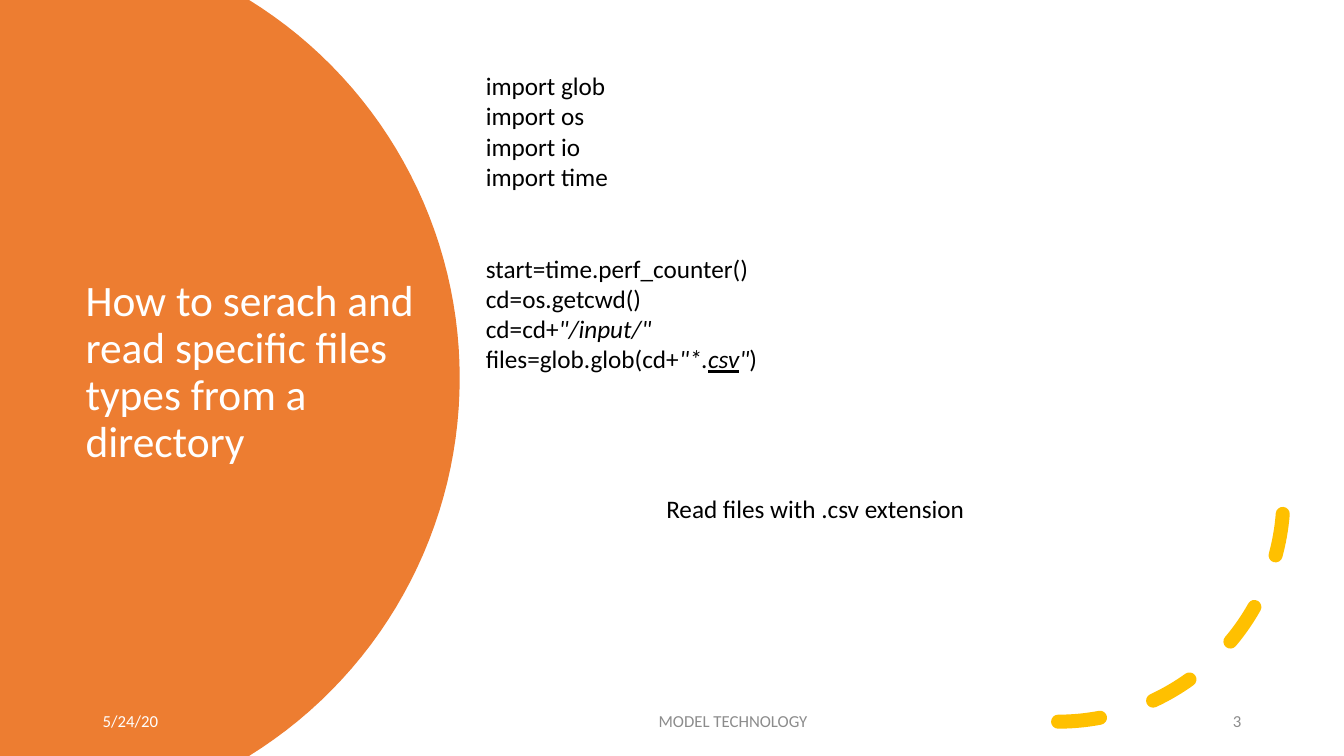
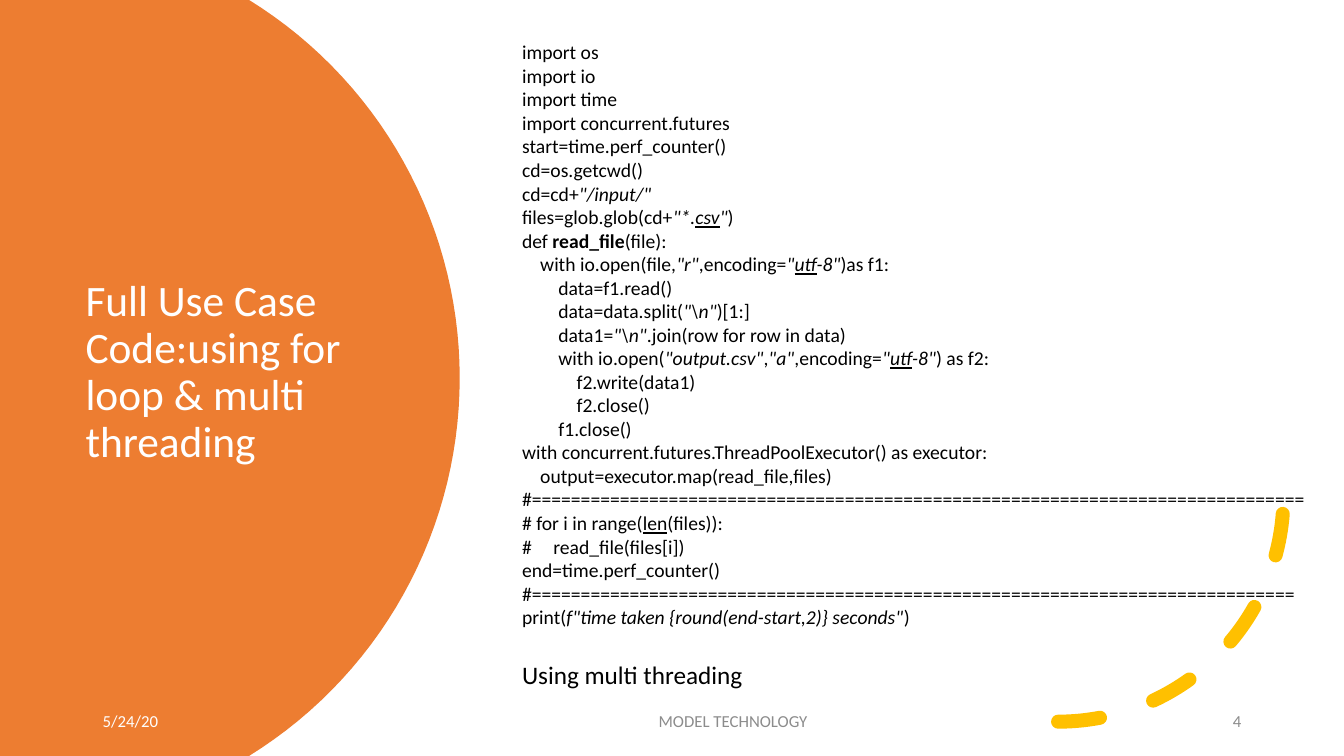
from dataclasses import dataclass
from math import asin, cos, sin

from lxml.etree import SubElement
from pptx import Presentation
from pptx.dml.color import RGBColor
from pptx.enum.dml import MSO_LINE
from pptx.enum.shapes import MSO_SHAPE
from pptx.enum.text import MSO_ANCHOR, PP_ALIGN
from pptx.oxml.ns import qn
from pptx.util import Inches, Pt


@dataclass(frozen=True)
class Theme:
    font: str = "Calibri"
    orange: str = "ED7D31"
    gold: str = "FFC000"
    white: str = "FFFFFF"
    black: str = "000000"
    grey: str = "8C8C8C"
    title: int = 31
    body: int = 18
    listing: int = 14
    footer: int = 12


THEME = Theme()
SLIDE_W, SLIDE_H = 13.33, 7.5
DISC_X, DISC_R, DISC_STEPS = 0.15, 4.41, 60
INDENT = 0.18
COMMENT_TAB = 0.31
LINE_HEIGHT = 1.22

DATE = "5/24/20"
BRAND = "MODEL TECHNOLOGY "

FIND_FILES = [
    "start=time.perf_counter()",
    "cd=os.getcwd()",
    ["cd=cd+", ('"/input/"', "i")],
    ["files=glob.glob(cd+", ('"*.', "i"), ("csv", "iu"), ('"', "i"), ")"],
]
ENCODING = [",encoding=", ('"', "i"), ("utf", "iu"), ('-8"', "i")]
NEWLINE = ('"\\n"', "i")

SEARCH_IMPORTS = ["import glob", "import os", "import io", "import time"]
FULL_CODE = [
    (0, "import os"),
    (0, "import io"),
    (0, "import time"),
    (0, "import concurrent.futures"),
    *[(0, line) for line in FIND_FILES],
    (0, ["def ", ("read_file", "b"), "(file):"]),
    (1, ["with io.open(file,", ('"r"', "i"), *ENCODING, ")as f1:"]),
    (2, "data=f1.read()"),
    (2, ["data=data.split(", NEWLINE, ")[1:]"]),
    (2, ["data1=", NEWLINE, ".join(row for row in data)"]),
    (2, ["with io.open(", ('"output.csv"', "i"), ",", ('"a"', "i"),
         *ENCODING, ") as f2:"]),
    (3, "f2.write(data1)"),
    (3, "f2.close()"),
    (2, "f1.close()"),
    (0, "with concurrent.futures.ThreadPoolExecutor() as executor:"),
    (1, "output=executor.map(read_file,files)"),
    (0, "#" + "=" * 79),
    (0, ["# for i in range(", ("len", "u"), "(files)):"]),
    (0, "#\tread_file(files[i])"),
    (0, "end=time.perf_counter()"),
    (0, "#" + "=" * 78),
    (0, ["print(", ('f"time taken {round(end-start,2)} seconds"', "i"), ")"]),
]

SLIDES = [
    {
        "title": "How to serach and read specific files types from a directory",
        "number": "3",
        "texts": [
            {"box": (4.72, 0.65, 7.08, 3.43), "wrap": True, "blocks": [
                (THEME.body, 0, [(0, line) for line in SEARCH_IMPORTS]),
                (THEME.body, 2, [(0, line) for line in FIND_FILES]),
            ]},
            {"box": (6.51, 4.84, 3.19, 0.4), "wrap": False, "blocks": [
                (THEME.body, 0, [(0, "Read files with .csv extension")]),
            ]},
        ],
    },
    {
        "title": "Full Use Case Code:using for loop & multi threading",
        "number": "4",
        "texts": [
            {"box": (5.08, 0.35, 8.06, 6.6), "wrap": False, "blocks": [
                (THEME.listing, 0, FULL_CODE),
                (THEME.body, 1, [(0, "Using multi threading")]),
            ]},
        ],
    },
]


def rgb(value):
    return RGBColor.from_string(value)


def add_frame(slide, box, wrap=True, anchor=MSO_ANCHOR.TOP):
    frame = slide.shapes.add_textbox(*map(Inches, box)).text_frame
    frame.word_wrap = wrap
    frame.vertical_anchor = anchor
    return frame


def add_run(paragraph, text, size, color, style=""):
    run = paragraph.add_run()
    run.text = text
    font = run.font
    font.name, font.size = THEME.font, Pt(size)
    font.color.rgb = rgb(color)
    font.bold, font.italic, font.underline = (mark in style for mark in "biu")


def add_label(slide, box, text, size, color, align=PP_ALIGN.LEFT, spacing=1.0):
    paragraph = add_frame(slide, box, anchor=MSO_ANCHOR.MIDDLE).paragraphs[0]
    paragraph.alignment = align
    paragraph.line_spacing = spacing
    add_run(paragraph, text, size, color)


def add_code(slide, box, wrap, blocks):
    frame = add_frame(slide, box, wrap)
    paragraph = frame.paragraphs[0]
    for size, blank_lines, lines in blocks:
        for index, (level, line) in enumerate(lines):
            if paragraph.runs:
                paragraph = frame.add_paragraph()
            if index == 0 and blank_lines:
                paragraph.space_before = Pt(round(blank_lines * size * LINE_HEIGHT))
            properties = paragraph._p.get_or_add_pPr()
            properties.set("marL", str(Inches(level * INDENT)))
            pieces = [line] if isinstance(line, str) else line
            if "\t" in pieces[0]:
                tabs = SubElement(properties, qn("a:tabLst"))
                SubElement(tabs, qn("a:tab"), pos=str(Inches(COMMENT_TAB)), algn="l")
            for piece in pieces:
                text, style = (piece, "") if isinstance(piece, str) else piece
                add_run(paragraph, text, size, THEME.black, style)


def add_disc(slide):
    middle = SLIDE_H / 2
    reach = asin(middle / DISC_R)
    angles = [reach * (2 * step / DISC_STEPS - 1) for step in range(DISC_STEPS + 1)]
    rim = [(Inches(DISC_X + DISC_R * cos(a)), Inches(middle + DISC_R * sin(a)))
           for a in angles]
    builder = slide.shapes.build_freeform(0, 0)
    builder.add_line_segments([*rim, (0, Inches(SLIDE_H))], close=True)
    disc = builder.convert_to_shape()
    disc.shadow.inherit = False
    disc.fill.solid()
    disc.fill.fore_color.rgb = rgb(THEME.orange)
    disc.line.fill.background()


def add_dashed_arc(slide):
    arc = slide.shapes.add_shape(
        MSO_SHAPE.ARC, *map(Inches, (8.26, 2.69, 4.47, 4.47)))
    arc.shadow.inherit = False
    arc.fill.background()
    arc.line.color.rgb = rgb(THEME.gold)
    arc.line.width = Pt(10)
    arc.line.dash_style = MSO_LINE.DASH
    properties = arc._element.spPr
    properties.find(qn("a:xfrm")).set("flipV", "1")
    properties.find(qn("a:ln")).set("cap", "rnd")


def add_base(slide, title, number):
    add_disc(slide)
    add_label(slide, (0.75, 1.26, 3.5, 4.88), title, THEME.title, THEME.white,
              spacing=0.9)
    add_dashed_arc(slide)
    for left, width, text, color, align in (
        (0.92, 1.79, DATE, THEME.white, PP_ALIGN.LEFT),
        (4.42, 5.74, BRAND, THEME.grey, PP_ALIGN.CENTER),
        (10.43, 1.98, number, THEME.grey, PP_ALIGN.RIGHT),
    ):
        add_label(slide, (left, 6.95, width, 0.4), text, THEME.footer, color, align)


deck = Presentation()
deck.slide_width, deck.slide_height = Inches(SLIDE_W), Inches(SLIDE_H)
for content in SLIDES:
    slide = deck.slides.add_slide(deck.slide_layouts[6])
    add_base(slide, content["title"], content["number"])
    for text in content["texts"]:
        add_code(slide, **text)
deck.save("out.pptx")
